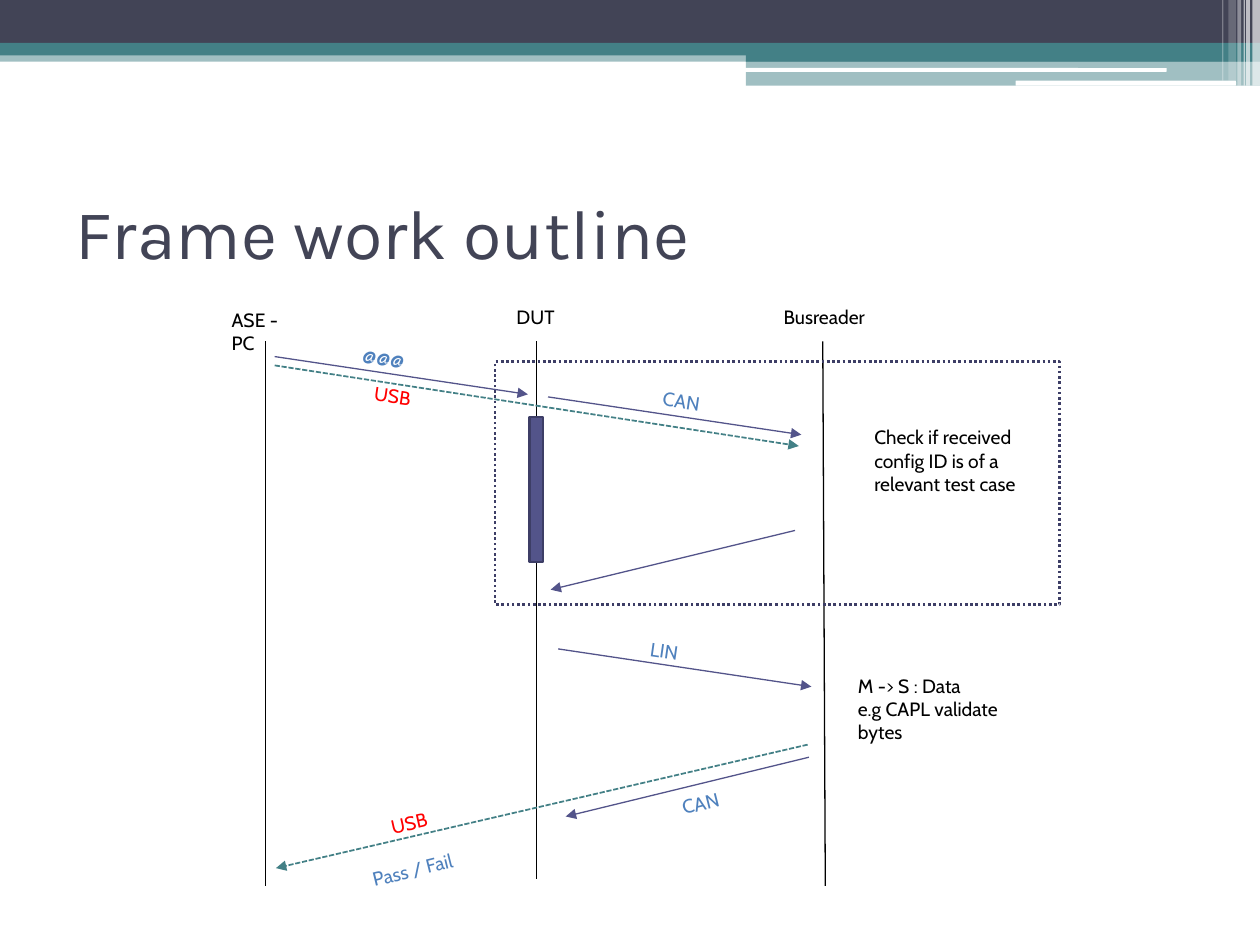
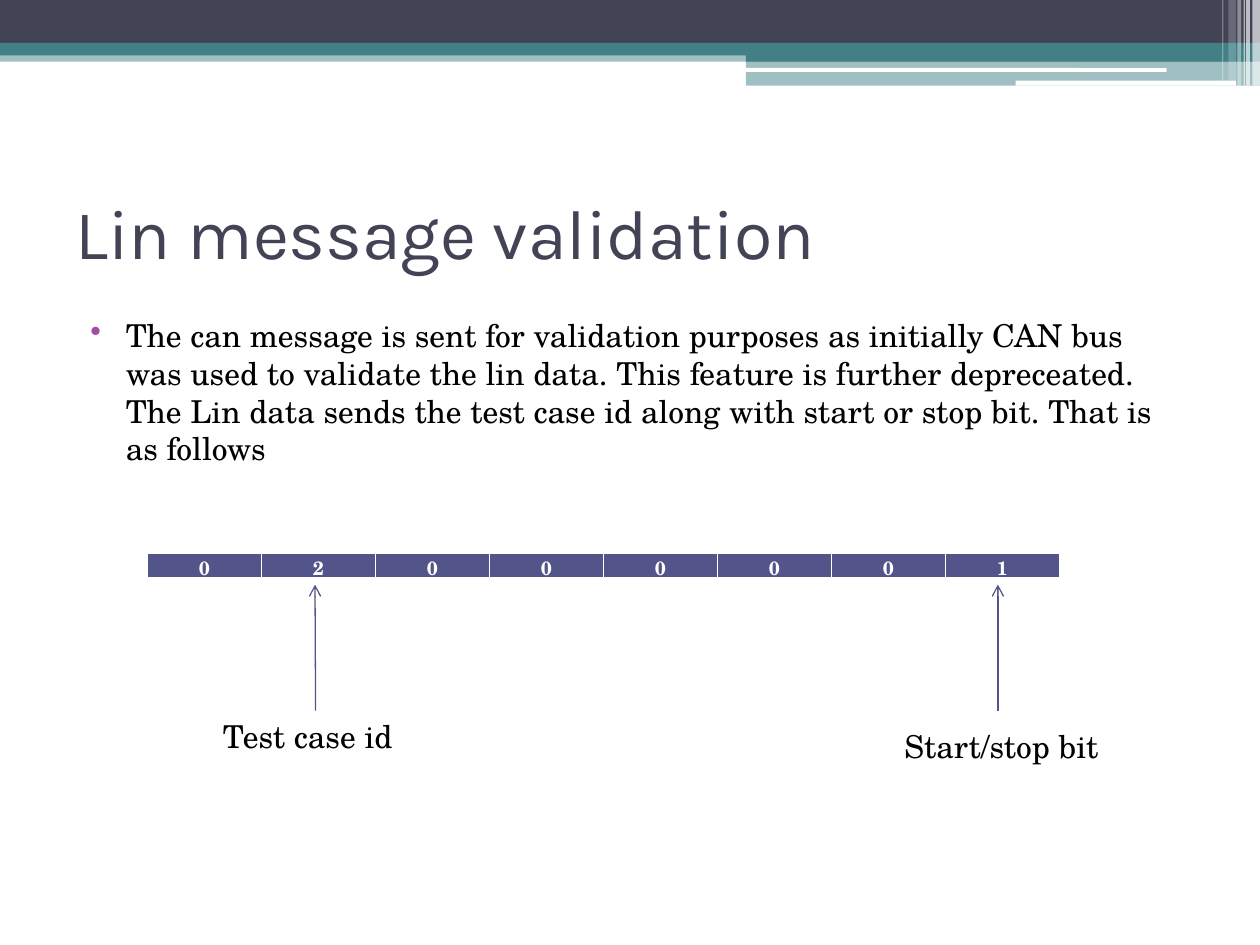
"""Build two slides on a bus test framework: a message sequence and a data layout."""
from dataclasses import dataclass
from typing import Optional

from lxml import etree
from pptx import Presentation
from pptx.dml.color import RGBColor
from pptx.enum.dml import MSO_LINE
from pptx.enum.shapes import MSO_CONNECTOR, MSO_SHAPE
from pptx.enum.text import MSO_ANCHOR, PP_ALIGN
from pptx.oxml.ns import qn
from pptx.util import Inches, Pt

RECT, ROUNDED = MSO_SHAPE.RECTANGLE, MSO_SHAPE.ROUNDED_RECTANGLE
STRAIGHT = MSO_CONNECTOR.STRAIGHT
DASHED, DOTTED = MSO_LINE.SQUARE_DOT, MSO_LINE.ROUND_DOT
LEFT, CENTER = PP_ALIGN.LEFT, PP_ALIGN.CENTER
TOP, MIDDLE = MSO_ANCHOR.TOP, MSO_ANCHOR.MIDDLE
TOP_SIDE = 0

COLORS = {
    "slate": "424456", "teal": "438086", "indigo": "53548A", "navy": "3D3E66",
    "purple": "A04DA3", "blue": "4F81BD", "red": "FF0000",
    "black": "000000", "white": "FFFFFF",
}
TITLE_FONT, LABEL_FONT, BODY_FONT = "Karla", "Cabin", "TeX Gyre Schola"
DOWN_SLOPE, UP_SLOPE = 8.3, -14


@dataclass(frozen=True)
class Band:
    left: float
    top: float
    width: float
    height: float
    color: str
    opacity: int = 100
    shape: int = RECT


@dataclass(frozen=True)
class Line:
    x1: float
    y1: float
    x2: float
    y2: float
    color: str = "indigo"
    width: float = 0.75
    dash: Optional[int] = None
    head: Optional[str] = "triangle"


@dataclass(frozen=True)
class Label:
    text: str
    left: float
    top: float
    width: float = 0.76
    height: float = 0.29
    color: str = "black"
    rotation: float = 0
    align: int = LEFT


BANDS = [
    Band(0, 0.4, 10, 0.09, "teal", 50),
    Band(0, 0, 10, 0.34, "slate"),
    Band(0, 0.34, 10, 0.1, "teal"),
    Band(5.92, 0.39, 4.08, 0.1, "teal"),
    Band(5.92, 0.48, 4.08, 0.2, "teal", 50),
    Band(5.91, 0.54, 3.35, 0.03, "white", shape=ROUNDED),
    Band(8.06, 0.64, 1.75, 0.04, "white", shape=ROUNDED),
    Band(9.94, 0, 0.06, 0.68, "white", 65),
    Band(9.89, 0, 0.03, 0.68, "white", 65),
    Band(9.87, 0, 0.01, 0.68, "white", 60),
    Band(9.82, 0, 0.03, 0.68, "white", 40),
    Band(9.75, 0, 0.06, 0.64, "white", 20),
    Band(9.7, 0, 0.01, 0.64, "white", 30),
]

LIFELINES = [
    Line(2.11, 2.71, 2.11, 7.03, "black", head=None),
    Line(4.26, 2.71, 4.26, 6.98, "black", head=None),
    Line(6.53, 2.71, 6.55, 7.03, "black", head=None),
]

MESSAGES = [
    Line(2.18, 2.83, 4.19, 3.13),
    Line(4.35, 3.15, 6.36, 3.45),
    Line(6.31, 4.21, 4.37, 4.68),
    Line(4.43, 5.15, 6.44, 5.45),
    Line(6.42, 6.01, 4.49, 6.48),
    Line(2.18, 2.9, 6.34, 3.54, "teal", 1, DASHED),
    Line(6.41, 5.91, 2.19, 6.89, "teal", 1, DASHED),
]

SEQUENCE_LABELS = [
    Label("ASE - PC", 1.74, 2.4),
    Label("DUT", 3.87, 2.37, align=CENTER),
    Label("Busreader", 6.12, 2.37, 0.89),
    Label("@@@", 2.78, 2.71, color="blue", rotation=DOWN_SLOPE),
    Label("USB", 2.87, 3.02, color="red", rotation=DOWN_SLOPE),
    Label("CAN", 5.16, 3.06, color="blue", rotation=DOWN_SLOPE),
    Label("LIN", 5.06, 5.05, color="blue", rotation=DOWN_SLOPE),
    Label("CAN", 5.31, 6.2, color="blue", rotation=UP_SLOPE),
    Label("Pass / Fail", 2.85, 6.75, 0.93, color="blue", rotation=UP_SLOPE),
    Label("USB", 3, 6.36, color="red", rotation=-12.6),
    Label("Check if received config ID is of a relevant test case",
          6.84, 3.33, 1.42, 0.7),
    Label("M -> S : Data\ne.g CAPL validate bytes", 6.71, 5.3, 1.42, 0.7),
]

VALIDATION_TEXT = (
    "The can message is sent for validation purposes as initially CAN bus was used "
    "to validate the lin data. This feature is further depreceated. The Lin data "
    "sends the test case id along with start or stop bit. That is as follows"
)
DATA_BYTES = "02000001"
TABLE_LEFT, TABLE_TOP, BYTE_WIDTH, BYTE_HEIGHT = 1.17, 4.39, 0.9, 0.21
TABLE_WIDTH = 7.24


def rgb(color: str) -> RGBColor:
    return RGBColor.from_string(COLORS[color])


def write(frame, text: str, *, font: str, size: float, color: str = "black",
          bold: bool = False, align: int = LEFT, anchor: int = TOP) -> None:
    frame.word_wrap = True
    frame.vertical_anchor = anchor
    frame.text = text
    for paragraph in frame.paragraphs:
        paragraph.alignment = align
        for run in paragraph.runs:
            run.font.name, run.font.size, run.font.bold = font, Pt(size), bold
            run.font.color.rgb = rgb(color)


def add_text(slide, text: str, left: float, top: float, width: float,
             height: float, **style):
    box = slide.shapes.add_textbox(*map(Inches, (left, top, width, height)))
    write(box.text_frame, text, **style)
    return box


def add_band(slide, band: Band):
    shape = slide.shapes.add_shape(
        band.shape, *map(Inches, (band.left, band.top, band.width, band.height)))
    shape.shadow.inherit = False
    shape.line.fill.background()
    shape.fill.solid()
    shape.fill.fore_color.rgb = rgb(band.color)
    if band.opacity < 100:
        tint = shape.fill._xPr.find(qn("a:solidFill"))[0]
        etree.SubElement(tint, qn("a:alpha"), val=str(band.opacity * 1000))
    return shape


def add_line(slide, line: Line):
    connector = slide.shapes.add_connector(
        STRAIGHT, *map(Inches, (line.x1, line.y1, line.x2, line.y2)))
    connector.line.color.rgb = rgb(line.color)
    connector.line.width = Pt(line.width)
    if line.dash is not None:
        connector.line.dash_style = line.dash
    if line.head:
        etree.SubElement(connector.line._get_or_add_ln(), qn("a:tailEnd"),
                         type=line.head)
    etree.SubElement(connector._element.spPr, qn("a:effectLst"))
    return connector


def add_label(slide, label: Label) -> None:
    box = add_text(slide, label.text, label.left, label.top, label.width,
                   label.height, font=LABEL_FONT, size=11, color=label.color,
                   align=label.align)
    box.rotation = label.rotation


def outline(shape, color: str, width: float) -> None:
    shape.line.color.rgb = rgb(color)
    shape.line.width = Pt(width)


def add_titled_slide(deck, title: str):
    slide = deck.slides.add_slide(deck.slide_layouts[6])
    for band in BANDS:
        add_band(slide, band)
    add_text(slide, title, 0.5, 1.25, 9, 1.17, font=TITLE_FONT, size=40,
             color="slate", anchor=MIDDLE)
    return slide


def set_bullet(paragraph, color: str) -> None:
    paragraph.space_before = Pt(3)
    props = paragraph._p.get_or_add_pPr()
    props.set("marL", str(Inches(0.4)))
    props.set("indent", str(Inches(-0.28)))
    bullet_color = etree.SubElement(props, qn("a:buClr"))
    etree.SubElement(bullet_color, qn("a:srgbClr"), val=COLORS[color])
    etree.SubElement(props, qn("a:buChar"), char="•")


def set_borders(cell, color: str) -> None:
    props = cell._tc.get_or_add_tcPr()
    for index, (side, width) in enumerate(
            {"lnL": 1, "lnR": 1, "lnT": 1, "lnB": 3}.items()):
        border = etree.Element(qn(f"a:{side}"), w=str(Pt(width)))
        fill = etree.SubElement(border, qn("a:solidFill"))
        etree.SubElement(fill, qn("a:srgbClr"), val=COLORS[color])
        props.insert(index, border)


def add_data_table(slide) -> None:
    table = slide.shapes.add_table(
        1, len(DATA_BYTES),
        *map(Inches, (TABLE_LEFT, TABLE_TOP, TABLE_WIDTH, BYTE_HEIGHT))).table
    table.rows[0].height = Inches(BYTE_HEIGHT)
    for column, (cell, value) in enumerate(zip(table.rows[0].cells, DATA_BYTES)):
        table.columns[column].width = Inches(TABLE_WIDTH / len(DATA_BYTES))
        cell.margin_left = cell.margin_right = Inches(0.07)
        cell.margin_top = cell.margin_bottom = 0
        cell.vertical_anchor = MIDDLE
        cell.fill.solid()
        cell.fill.fore_color.rgb = rgb("indigo")
        set_borders(cell, "white")
        write(cell.text_frame, value, font=BODY_FONT, size=11, color="white",
              bold=True, align=CENTER)


def build_framework_slide(deck) -> None:
    slide = add_titled_slide(deck, "Frame work outline")
    for lifeline in LIFELINES:
        add_line(slide, lifeline)
    activation = add_band(slide, Band(4.2, 3.31, 0.11, 1.15, "indigo"))
    outline(activation, "navy", 1.5)
    for message in MESSAGES:
        add_line(slide, message)
    check_frame = add_band(slide, Band(3.93, 2.87, 4.48, 1.93, "white"))
    check_frame.fill.background()
    outline(check_frame, "navy", 1.5)
    check_frame.line.dash_style = DOTTED
    for label in SEQUENCE_LABELS:
        add_label(slide, label)


def build_validation_slide(deck) -> None:
    slide = add_titled_slide(deck, "Lin message validation")
    body = add_text(slide, VALIDATION_TEXT, 0.5, 2.46, 9, 4.73,
                    font=BODY_FONT, size=18)
    set_bullet(body.text_frame.paragraphs[0], "purple")
    add_data_table(slide)
    test_case = add_text(slide, "Test case id", 1.67, 5.64, 1.67, 0.4,
                         font=BODY_FONT, size=18)
    add_text(slide, "Start/stop bit", 7.08, 5.72, 1.83, 0.4,
             font=BODY_FONT, size=18)
    test_case_arrow, _ = [add_line(slide, Line(x, 5.64, x, 4.64, head="arrow"))
                          for x in (2.5, 7.92)]
    test_case_arrow.begin_connect(test_case, TOP_SIDE)


def main() -> None:
    deck = Presentation()
    deck.slide_width, deck.slide_height = Inches(10), Inches(7.5)
    build_framework_slide(deck)
    build_validation_slide(deck)
    deck.save("out.pptx")


if __name__ == "__main__":
    main()
